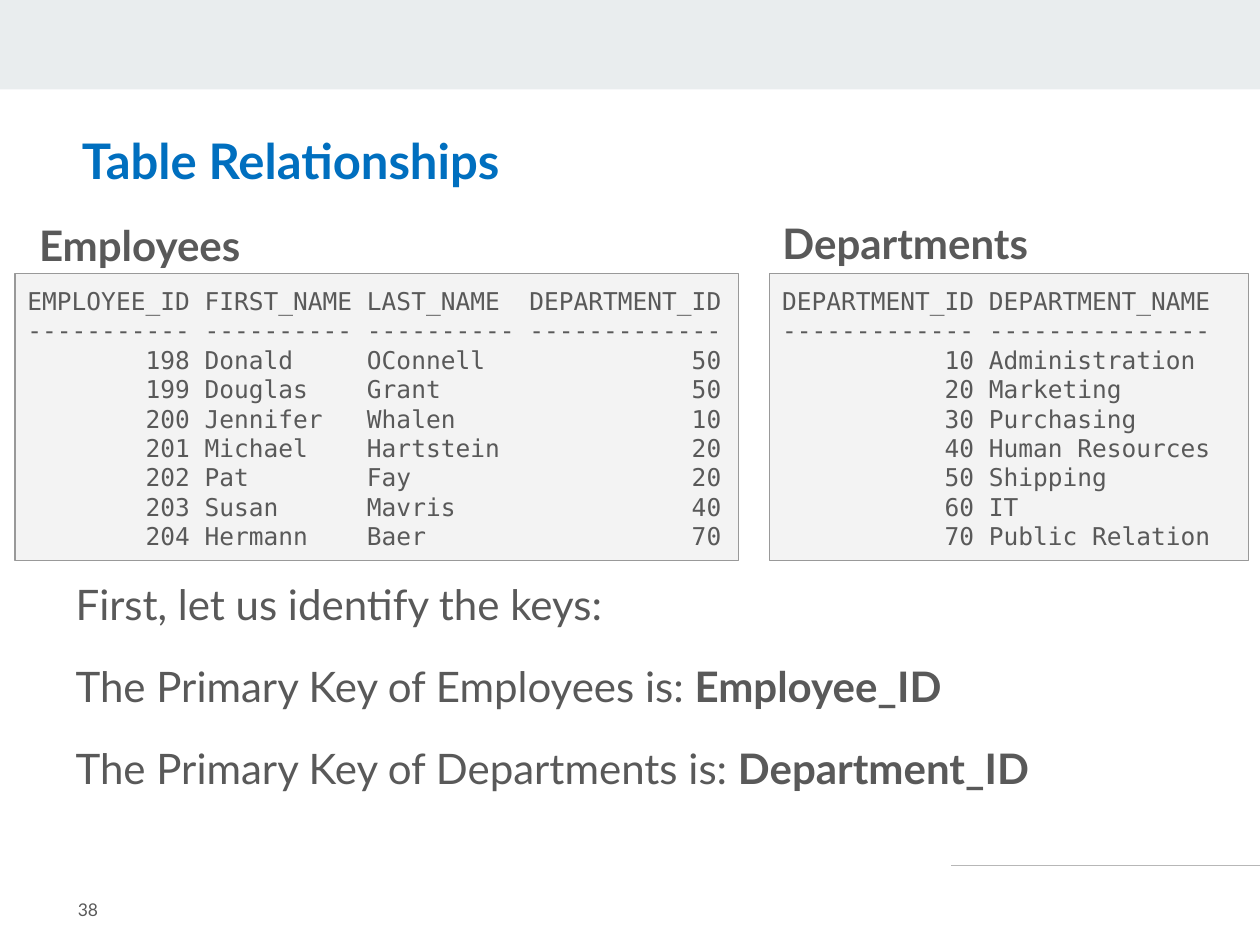
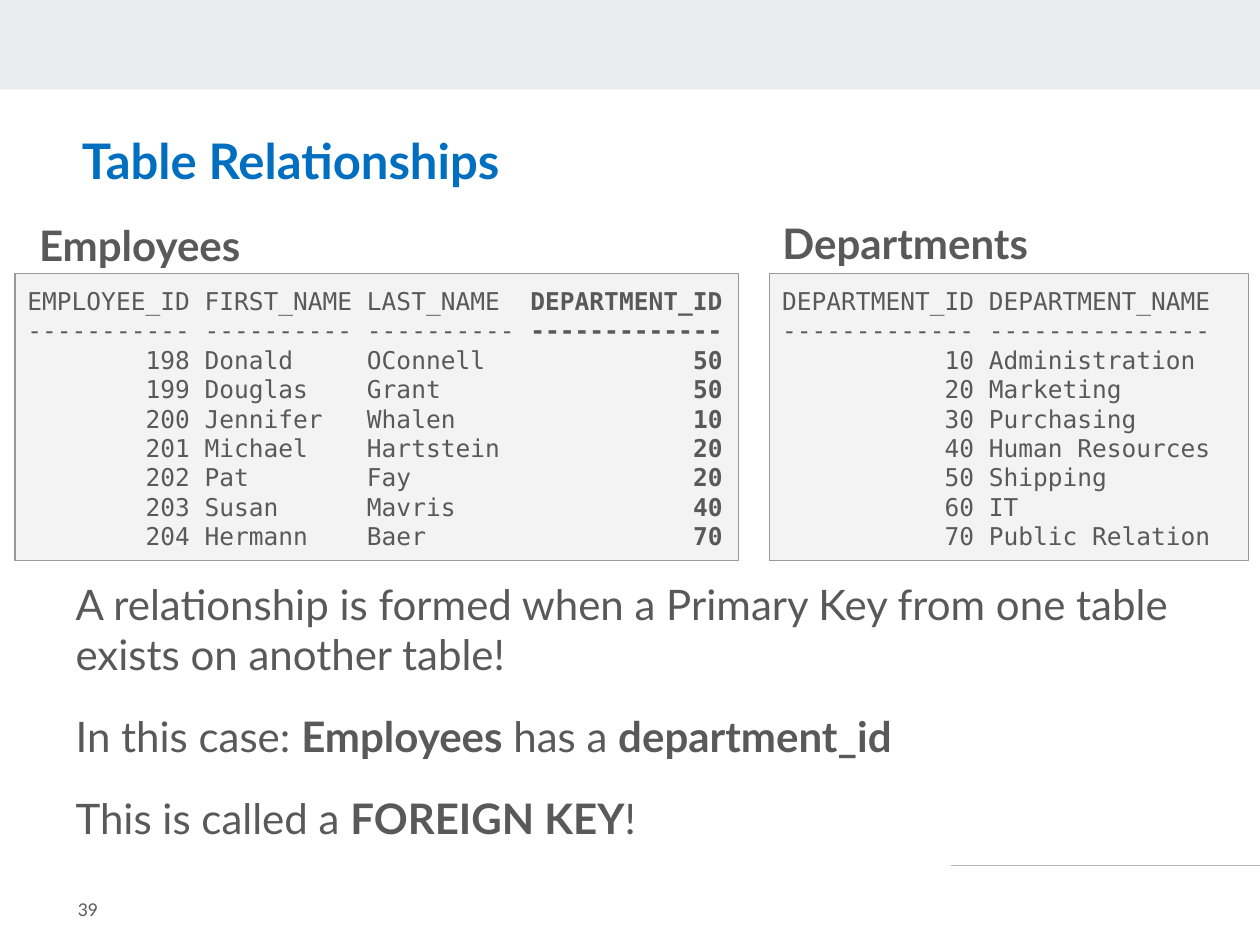
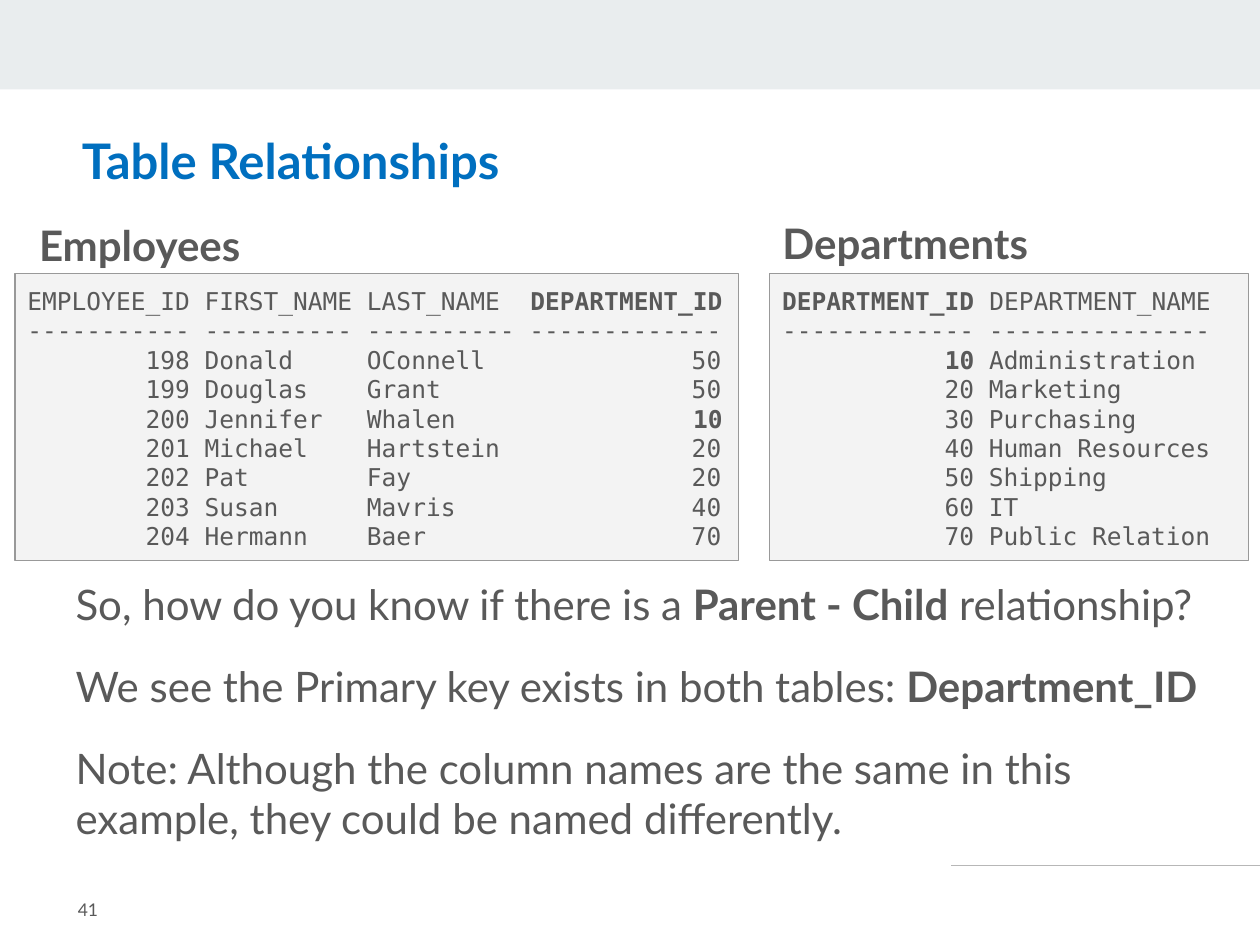
from pptx import Presentation
from pptx import util as u
from pptx.dml.color import RGBColor
from pptx.enum import shapes, text
from lxml import etree

WIDE, HIGH = u.Inches(10), u.Inches(7.5)
SANS, MONO = "Lato", "DejaVu Sans Mono"
INK, BLUE, BAND, RULE = "595959", "006FBF", "E9EDEE", "B7B7B7"
PANEL, EDGE = "F3F3F3", "999999"

STAFF = [
    ("EMPLOYEE_ID", "FIRST_NAME", "LAST_NAME", "DEPARTMENT_ID"),
    ("198", "Donald", "OConnell", "50"),
    ("199", "Douglas", "Grant", "50"),
    ("200", "Jennifer", "Whalen", "10"),
    ("201", "Michael", "Hartstein", "20"),
    ("202", "Pat", "Fay", "20"),
    ("203", "Susan", "Mavris", "40"),
    ("204", "Hermann", "Baer", "70"),
]
UNITS = [
    ("DEPARTMENT_ID", "DEPARTMENT_NAME"),
    ("10", "Administration"),
    ("20", "Marketing"),
    ("30", "Purchasing"),
    ("40", "Human Resources"),
    ("50", "Shipping"),
    ("60", "IT"),
    ("70", "Public Relation"),
]
STAFF_COLS = [(11, ">"), (10, "<"), (10, "<"), (13, ">")]
UNIT_COLS = [(13, ">"), (15, "<")]
ALL = range(-1, 8)

PAGES = [
    dict(num="38", tall=27.87, staff=(), units=(), lines=[
        "First, let us identify the keys:",
        "The Primary Key of Employees is: *Employee_ID*",
        "The Primary Key of Departments is: *Department_ID*"]),
    dict(num="39", tall=27.87, staff=[(r, 3) for r in ALL], units=(), lines=[
        "A relationship is formed when a Primary Key from one table "
        "exists on another table!",
        "In this case: *Employees* has a *department_id*",
        "This is called a *FOREIGN KEY*!"]),
    dict(num="41", tall=31.87, staff=[(0, 3), (3, 3)],
         units=[(0, 0), (1, 0)], lines=[
        "So, how do you know if there is a *Parent - Child* relationship?",
        "We see the Primary key exists in both tables: *Department_ID*",
        "Note: Although the column names are the same in this example, "
        "they could be named differently."]),
]


def tint(code):
    """Turn a hex string into a colour."""
    return RGBColor.from_string(code)


def area(x, y, w, h):
    """Turn percent shares of the slide into left, top, width, height."""
    return [int(side * part / 100)
            for side, part in zip((WIDE, HIGH, WIDE, HIGH), (x, y, w, h))]


def place(shape, *box):
    """Move a placeholder to a box given in shares."""
    shape.left, shape.top, shape.width, shape.height = area(*box)


def write(shape, lines, size, face=SANS, ink=INK, gap=0, pad=0.05,
          anchor=text.MSO_ANCHOR.TOP, lead=1.0):
    """Fill a shape with lines whose starred parts are bold."""
    frame = shape.text_frame
    frame.word_wrap = True
    frame.auto_size = text.MSO_AUTO_SIZE.NONE
    frame.vertical_anchor = anchor
    frame.margin_left = frame.margin_right = u.Inches(0.1)
    frame.margin_top = frame.margin_bottom = u.Inches(pad)
    for i, line in enumerate(lines):
        para = frame.add_paragraph() if i else frame.paragraphs[0]
        props = para._p.get_or_add_pPr()
        props.set("marL", "0")
        props.set("indent", "0")
        para.alignment = text.PP_ALIGN.LEFT
        para.line_spacing = lead
        para.space_before = u.Pt(gap if i else 0)
        para.space_after = u.Pt(0)
        etree.SubElement(props, props.tag.replace("pPr", "buNone"))
        for j, part in enumerate(line.split("*")):
            if part:
                run = para.add_run()
                run.text = part
                font = run.font
                font.name, font.size, font.bold = face, u.Pt(size), j % 2 == 1
                font.color.rgb = tint(ink)


def listing(rows, cols, bold):
    """Lay out query rows in fixed columns, starring the bold cells."""
    rule = tuple("-" * wide for wide, _ in cols)
    lines = []
    for r, row in zip([0, -1, *range(1, len(rows))],
                      [rows[0], rule, *rows[1:]]):
        cells = []
        for c, (cell, (wide, side)) in enumerate(zip(row, cols)):
            fill = " " * (wide - len(cell))
            mark = f"*{cell}*" if (r, c) in bold else cell
            cells.append(fill + mark if side == ">" else mark + fill)
        lines.append(" ".join(cells).rstrip())
    return lines


def block(slide, fill, edge, *box):
    """Draw a flat rectangle."""
    shape = slide.shapes.add_shape(shapes.MSO_SHAPE.RECTANGLE, *area(*box))
    shape.shadow.inherit = False
    shape.fill.solid()
    shape.fill.fore_color.rgb = tint(fill)
    if edge:
        shape.line.color.rgb = tint(edge)
        shape.line.width = u.Pt(0.75)
    else:
        shape.line.fill.background()
    return shape


def frame_page(slide, num):
    """Draw the band, the rule and the page number."""
    block(slide, BAND, None, 0, 0, 100, 9.47)
    x, y, w, _ = area(75.5, 91.6, 24.5, 0)
    rule = slide.shapes.add_connector(
        shapes.MSO_CONNECTOR.STRAIGHT, x, y, x + w, y)
    rule.line.color.rgb = tint(RULE)
    rule.line.width = u.Pt(0.75)
    props = rule._element.spPr
    etree.SubElement(props, props.tag.split("}")[0].replace(
        "presentationml", "drawingml").replace("{", "{") + "}effectLst")
    note = slide.shapes.add_textbox(*area(5.2, 92.4, 12.3, 7.6))
    write(note, [num], 10, pad=0.1, anchor=text.MSO_ANCHOR.MIDDLE)


def panel(slide, head, name, lines, x, wide, head_x, head_y):
    """Add a table heading with its listing below."""
    place(head, head_x, head_y, 23.8, 5.2)
    write(head, [f"*{name}*"], 24)
    shape = block(slide, PANEL, EDGE, x, 28.93, wide, 30.4)
    write(shape, lines, 14, MONO, pad=0.1)


def page(deck, num, tall, staff, units, lines):
    """Build one slide."""
    slide = deck.slides.add_slide(deck.slide_layouts[4])
    title, left, body, right, spare = slide.placeholders
    spare._element.getparent().remove(spare._element)
    frame_page(slide, num)
    place(title, 5.5, 13.87, 78.8, 7.33)
    write(title, ["*Table Relationships*"], 28, ink=BLUE, lead=0.9)
    place(body, 5, 60.53, 91.4, tall)
    write(body, lines, 24, gap=18)
    panel(slide, right, "Departments", listing(UNITS, UNIT_COLS, units),
          61.1, 38, 61.1, 22.4)
    panel(slide, left, "Employees", listing(STAFF, STAFF_COLS, staff),
          1.2, 57.4, 2.1, 22.53)


def main():
    """Build the deck."""
    deck = Presentation()
    deck.slide_width, deck.slide_height = WIDE, HIGH
    for data in PAGES:
        page(deck, **data)
    deck.save("out.pptx")


if __name__ == "__main__":
    main()
